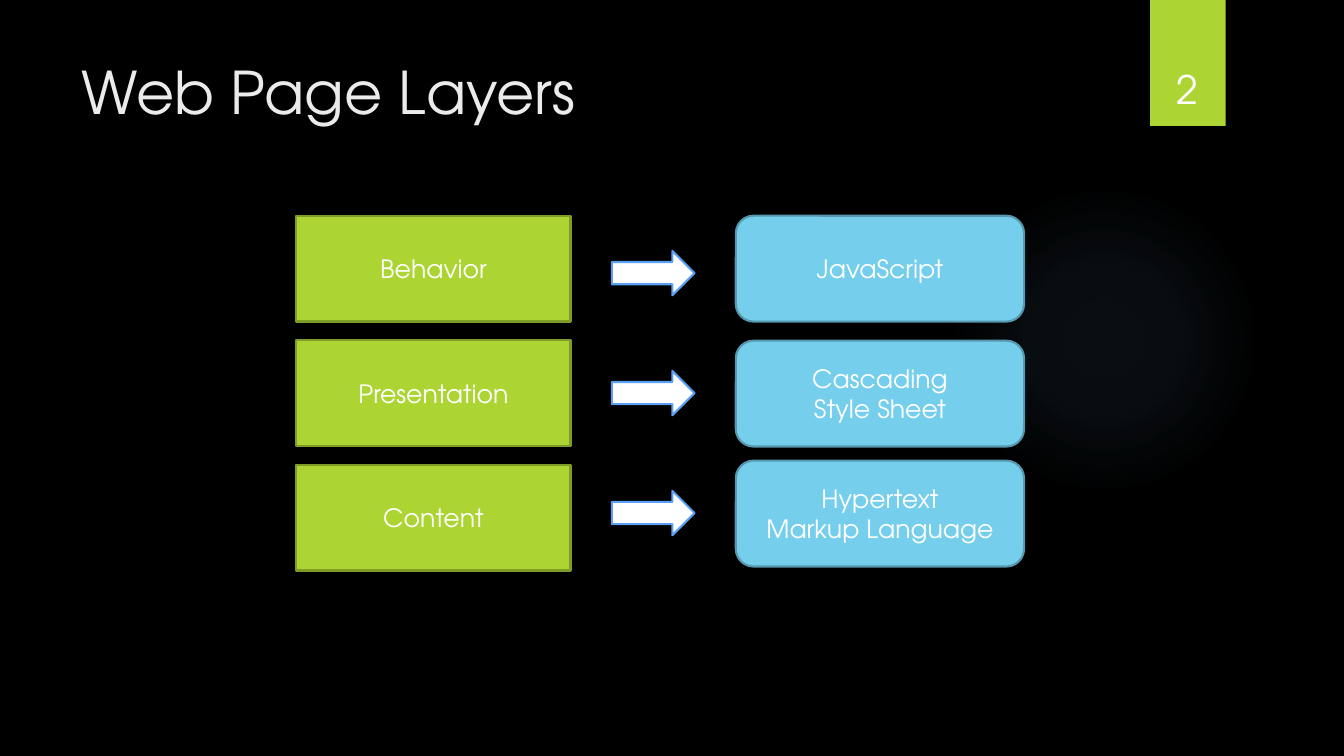
from dataclasses import dataclass

from lxml import etree
from pptx import Presentation
from pptx import util as u
from pptx.dml.color import RGBColor
from pptx.enum import shapes, text
from pptx.oxml import parse_xml
from pptx.oxml.ns import nsdecls, qn


@dataclass(frozen=True)
class Theme:
    """Colours, font and type sizes of the slide."""
    font: str = "TeX Gyre Adventor"
    title_size: int = 42
    number_size: int = 28
    label_size: int = 18
    outline: float = 1.5
    background: str = "000000"
    title: str = "EBEBEB"
    white: str = "FFFFFF"
    green: str = "ACD433"
    green_edge: str = "7F9D26"
    blue: str = "75CEEC"
    blue_edge: str = "5798AF"
    arrow_edge: str = "5AA0F5"
    glow: str = "7AC4F0"


THEME = Theme()
KIND = shapes.MSO_SHAPE
CELL = u.Inches(0.1)
COLUMNS, ROWS = 133.33, 75
LAYERS = (
    ("Behavior", "JavaScript", 21.4),
    ("Presentation", "Cascading\nStyle Sheet", 33.8),
    ("Content", "Hypertext\nMarkup Language", 45.7),
)
BOX_TOP, BOX_PITCH, BOX_HEIGHT = 21.4, 12.35, 10.5
ARROW_TOP, ARROW_PITCH = 24.9, 11.9


def grid(*cells):
    """Turn grid columns and rows into slide lengths."""
    return [round(cell * CELL) for cell in cells]


def write(frame, words, size, color=THEME.white, align=text.PP_ALIGN.CENTER,
          anchor=text.MSO_ANCHOR.MIDDLE):
    """Write one paragraph per line of words into a text frame."""
    frame.word_wrap = True
    frame.vertical_anchor = anchor
    for index, line in enumerate(words.split("\n")):
        paragraph = frame.add_paragraph() if index else frame.paragraphs[0]
        paragraph.alignment = align
        run = paragraph.add_run()
        run.text = line
        run.font.name = THEME.font
        run.font.size = u.Pt(size)
        run.font.color.rgb = RGBColor.from_string(color)


def add_text(slide, area, words, size, **style):
    """Add a text box over a grid area."""
    write(slide.shapes.add_textbox(*grid(*area)).text_frame, words, size, **style)


def add_block(slide, kind, area, fill, edge=None, label=None):
    """Add a filled shape with an optional outline and label."""
    block = slide.shapes.add_shape(kind, *grid(*area))
    block.shadow.inherit = False
    block.fill.solid()
    block.fill.fore_color.rgb = RGBColor.from_string(fill)
    if edge:
        block.line.color.rgb = RGBColor.from_string(edge)
        block.line.width = u.Pt(THEME.outline)
    else:
        block.line.fill.background()
    if label:
        write(block.text_frame, label, THEME.label_size)
    return block


def add_glow(slide, area):
    """Add a faint round glow that fades towards its rim."""
    glow = add_block(slide, KIND.OVAL, area, THEME.glow)
    gradient = parse_xml(
        f'<a:gradFill {nsdecls("a")}><a:gsLst/><a:path path="circle">'
        '<a:fillToRect l="50000" t="50000" r="50000" b="50000"/>'
        '</a:path></a:gradFill>')
    for position, opacity in ((0, 7), (36, 6), (69, 0)):
        stop = etree.SubElement(gradient[0], qn("a:gs"), pos=str(position * 1000))
        color = etree.SubElement(stop, qn("a:srgbClr"), val=THEME.glow)
        etree.SubElement(color, qn("a:alpha"), val=str(opacity * 1000))
    properties = glow.element.spPr
    properties.replace(properties.find(qn("a:solidFill")), gradient)


def main():
    """Build the slide of web page layers and save it."""
    deck = Presentation()
    deck.slide_width, deck.slide_height = grid(COLUMNS, ROWS)
    slide = deck.slides.add_slide(deck.slide_layouts[6])
    slide.background.fill.solid()
    slide.background.fill.fore_color.rgb = RGBColor.from_string(THEME.background)

    add_glow(slide, (94.1, 18.3, 30.8, 30.8))
    add_block(slide, KIND.RECTANGLE, (114.1, 0, 7.5, 12.5), THEME.green)
    add_text(slide, (7.1, 5, 102.9, 15.3), "Web Page Layers", THEME.title_size,
             color=THEME.title, align=text.PP_ALIGN.LEFT,
             anchor=text.MSO_ANCHOR.TOP)
    add_text(slide, (113.2, 3.2, 9.2, 8.4), "2", THEME.number_size,
             anchor=text.MSO_ANCHOR.BOTTOM)

    for row, (layer, technology, technology_top) in enumerate(LAYERS):
        add_block(slide, KIND.RECTANGLE,
                  (29.4, BOX_TOP + row * BOX_PITCH, 27.2, BOX_HEIGHT),
                  THEME.green, THEME.green_edge, layer)
        add_block(slide, KIND.RIGHT_ARROW,
                  (60.7, ARROW_TOP + row * ARROW_PITCH, 8.2, 4.4),
                  THEME.white, THEME.arrow_edge)
        add_block(slide, KIND.ROUNDED_RECTANGLE,
                  (73, technology_top, 28.6, BOX_HEIGHT),
                  THEME.blue, THEME.blue_edge, technology)

    deck.save("out.pptx")


if __name__ == "__main__":
    main()
